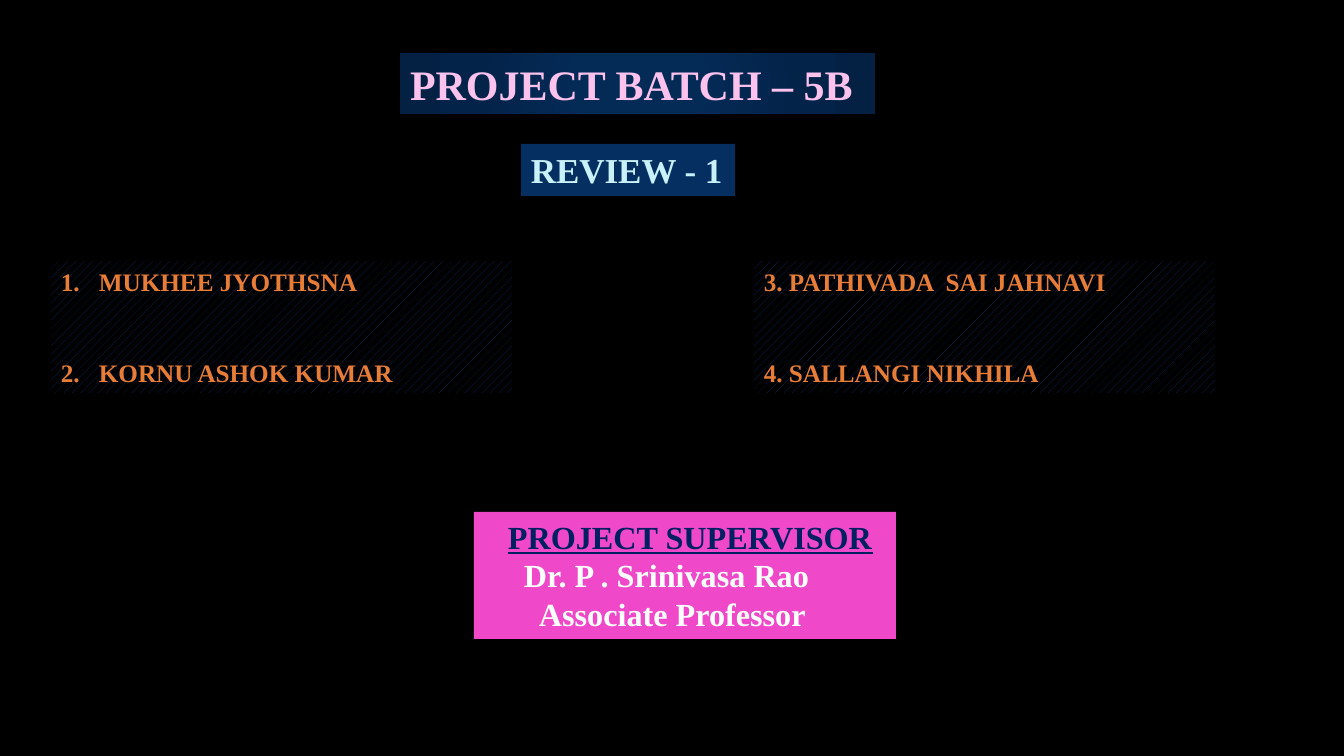
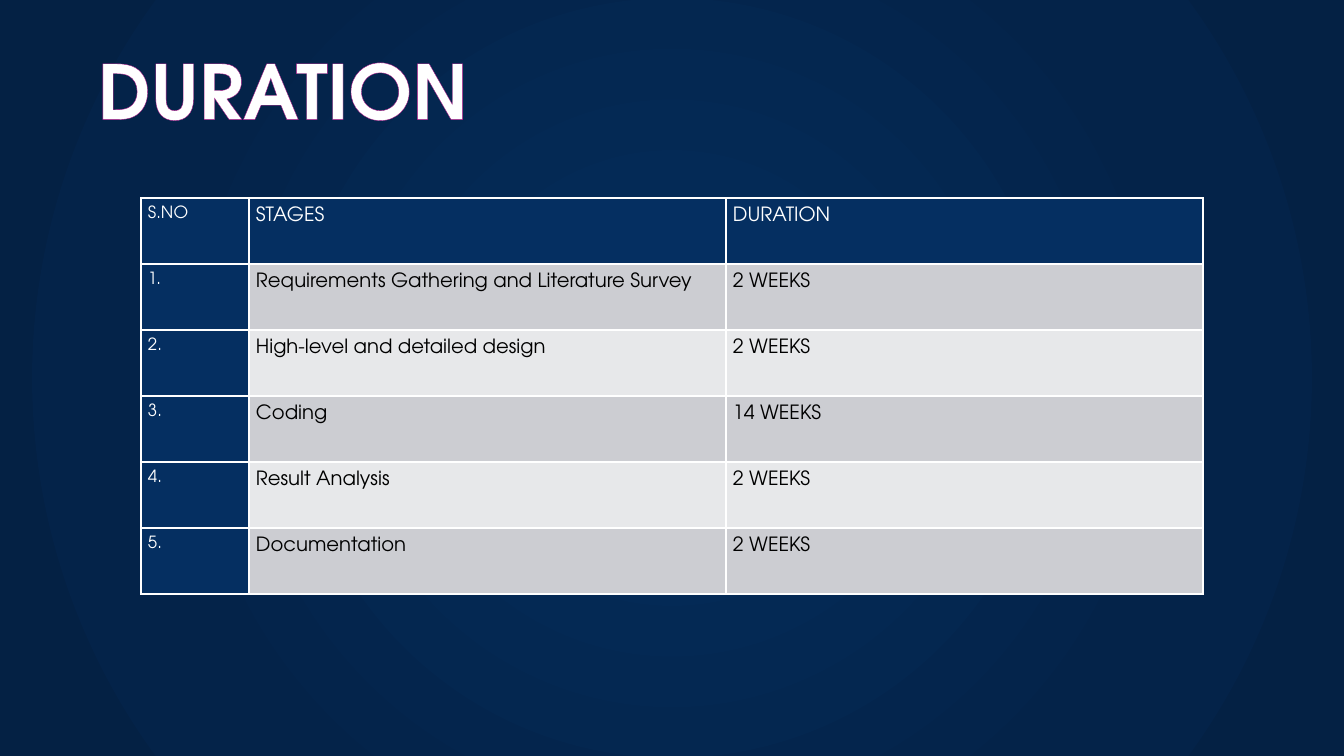
from lxml.etree import SubElement
from pptx import Presentation
from pptx.dml.color import RGBColor
from pptx.enum.dml import MSO_PATTERN
from pptx.enum.shapes import MSO_SHAPE
from pptx.enum.text import MSO_ANCHOR, MSO_AUTO_SIZE, PP_ALIGN
from pptx.oxml.ns import qn
from pptx.util import Emu, Pt

PAGE_WIDTH, PAGE_HEIGHT = 1344, 756
PX_PER_INCH = 100.8

SERIF = "Times New Roman"
SANS = "TeX Gyre Adventor"

BLACK = RGBColor(0x00, 0x00, 0x00)
WHITE = RGBColor(0xFF, 0xFF, 0xFF)
NAVY = RGBColor(0x05, 0x2F, 0x61)
DEEP_BLUE = RGBColor(0x00, 0x20, 0x60)
PALE_PINK = RGBColor(0xFA, 0xC2, 0xED)
PALE_CYAN = RGBColor(0xC8, 0xF1, 0xFB)
ORANGE = RGBColor(0xE8, 0x7D, 0x37)
PINK = RGBColor(0xEF, 0x48, 0xC9)
PURPLE = RGBColor(0xA5, 0x0E, 0x82)
DARK_BAND = RGBColor(0xCC, 0xCD, 0xD2)
LIGHT_BAND = RGBColor(0xE7, 0xE8, 0xEA)
GLOW_STOPS = [
    (0, RGBColor(0x04, 0x2A, 0x56)),
    (23, RGBColor(0x04, 0x2A, 0x56)),
    (69, RGBColor(0x04, 0x23, 0x49)),
    (97, RGBColor(0x04, 0x21, 0x44)),
]

STAGES = [
    ("Requirements Gathering and Literature Survey", "2 WEEKS"),
    ("High-level and detailed design", "2 WEEKS"),
    ("Coding", "14 WEEKS"),
    ("Result Analysis", "2 WEEKS"),
    ("Documentation", "2 WEEKS"),
]


def px(length):
    return Emu(round(length * 914400 / PX_PER_INCH))


def add_color(parent, color):
    SubElement(parent, qn("a:srgbClr"), val=str(color))


def add_line(parent, tag, position, color, points):
    """Insert a solid line element (text outline or cell border)."""
    line = SubElement(parent, qn(tag), w=str(Pt(points)))
    add_color(SubElement(line, qn("a:solidFill")), color)
    parent.insert(position, line)


def fill_glow(fill, element):
    """Give the owner of the fill the circular gradient of the deck."""
    fill.solid()
    solid = element.find(".//" + qn("a:solidFill"))
    gradient = solid.makeelement(qn("a:gradFill"), {"rotWithShape": "1"})
    stops = SubElement(gradient, qn("a:gsLst"))
    for percent, color in GLOW_STOPS:
        add_color(SubElement(stops, qn("a:gs"), pos=str(percent * 1000)), color)
    circle = SubElement(gradient, qn("a:path"), {"path": "circle"})
    SubElement(circle, qn("a:fillToRect"), l="50000", t="50000", r="50000", b="50000")
    solid.getparent().replace(solid, gradient)


def write(frame, text, *, font=SERIF, size, color, bold=False, underline=False,
          align=PP_ALIGN.LEFT, indent=0, number=None, before=0, spacing=None, outline=None):
    """Add one paragraph; a number makes it a list item with a hanging indent."""
    para = frame.paragraphs[0] if not frame.text else frame.add_paragraph()
    para.alignment = align
    para.space_before = Pt(before)
    if spacing:
        para.line_spacing = spacing
    properties = para._p.get_or_add_pPr()
    properties.set("marL", str(px(indent)))
    if number:
        properties.set("indent", str(-px(indent)))
        SubElement(properties, qn("a:buFont"), typeface=font)
        SubElement(properties, qn("a:buAutoNum"), type="arabicPeriod", startAt=str(number))
    span = para.add_run()
    span.text = text
    span.font.name = font
    span.font.size = Pt(size)
    span.font.color.rgb = color
    span.font.bold = bold
    span.font.underline = underline
    if outline:
        add_line(span.font._element, "a:ln", 0, outline, 0.52)


def place(shape, box):
    shape.left, shape.top, shape.width, shape.height = map(px, box)
    frame = shape.text_frame
    frame.word_wrap = True
    frame.auto_size = MSO_AUTO_SIZE.NONE
    frame.vertical_anchor = MSO_ANCHOR.TOP
    return frame


def add_panel(page, box, color):
    panel = page.shapes.add_shape(MSO_SHAPE.RECTANGLE, *map(px, box))
    panel.shadow.inherit = False
    panel.line.fill.background()
    panel.fill.solid()
    panel.fill.fore_color.rgb = color
    place(panel, box)
    return panel


def add_title(page, box, text, **style):
    title = page.shapes.title
    write(place(title, box), text, bold=True, **style)
    return title


def add_members(page, box, names, first, indent):
    panel = add_panel(page, box, BLACK)
    panel.fill.patterned()
    panel.fill.pattern = MSO_PATTERN.PERCENT_20
    panel.fill.fore_color.rgb = NAVY
    panel.fill.back_color.rgb = BLACK
    for place_in_list, name in enumerate(names):
        write(panel.text_frame, name, size=18, color=ORANGE, bold=True, indent=indent,
              number=first + place_in_list, before=43.5 * place_in_list)


def add_supervisor(page, box):
    frame = add_panel(page, box, PINK).text_frame
    write(frame, "PROJECT SUPERVISOR", size=23, color=DEEP_BLUE, bold=True,
          underline=True, indent=24)
    for text, indent in [("Dr. P . Srinivasa Rao", 40), ("Associate Professor", 55)]:
        write(frame, text, size=23, color=WHITE, bold=True, indent=indent)


def add_schedule(page, box, widths):
    rows = [("S.NO", "STAGES", "DURATION")]
    rows += [(f"{number}.", *stage) for number, stage in enumerate(STAGES, 1)]
    table = page.shapes.add_table(len(rows), len(widths), *map(px, box)).table
    table.horz_banding = False
    for column, width in zip(table.columns, widths):
        column.width = px(width)
    for row_index, texts in enumerate(rows):
        table.rows[row_index].height = px(box[3] // len(rows))
        for column_index, text in enumerate(texts):
            heading = row_index == 0 or column_index == 0
            band = DARK_BAND if row_index % 2 else LIGHT_BAND
            cell = table.cell(row_index, column_index)
            cell.fill.solid()
            cell.fill.fore_color.rgb = NAVY if heading else band
            cell.margin_left = cell.margin_right = px(7)
            cell.margin_top = cell.margin_bottom = 0
            for position, side in enumerate("LRTB"):
                add_line(cell._tc.get_or_add_tcPr(), f"a:ln{side}", position, WHITE, 1)
            write(cell.text_frame, text, font=SANS, size=14 if column_index else 12,
                  color=WHITE if heading else BLACK, align=PP_ALIGN.JUSTIFY, spacing=1.5)


def build_team_page(page):
    page.background.fill.solid()
    page.background.fill.fore_color.rgb = BLACK
    title = add_title(page, (400, 53, 475, 61), "PROJECT BATCH – 5B", size=30, color=PALE_PINK)
    fill_glow(title.fill, title.element)
    review = add_panel(page, (521, 144, 214, 52), NAVY)
    write(review.text_frame, "REVIEW - 1", size=25, color=PALE_CYAN, bold=True)
    add_members(page, (51, 261, 461, 132), ["MUKHEE JYOTHSNA", "KORNU ASHOK KUMAR"], 1, 38)
    add_members(page, (754, 261, 461, 132),
                ["PATHIVADA  SAI JAHNAVI", "SALLANGI NIKHILA"], 3, 25)
    add_supervisor(page, (474, 512, 422, 127))


def build_duration_page(page):
    fill_glow(page.background.fill, page.element)
    add_title(page, (0, 39, 566, 102), "DURATION", font=SANS, size=54, color=WHITE,
              align=PP_ALIGN.CENTER, outline=PURPLE)
    add_schedule(page, (141, 198, 1062, 396), (108, 477, 477))


def main():
    deck = Presentation()
    deck.slide_width, deck.slide_height = px(PAGE_WIDTH), px(PAGE_HEIGHT)
    title_only = deck.slide_layouts[5]
    for build in (build_team_page, build_duration_page):
        build(deck.slides.add_slide(title_only))
    deck.save("out.pptx")


if __name__ == "__main__":
    main()
